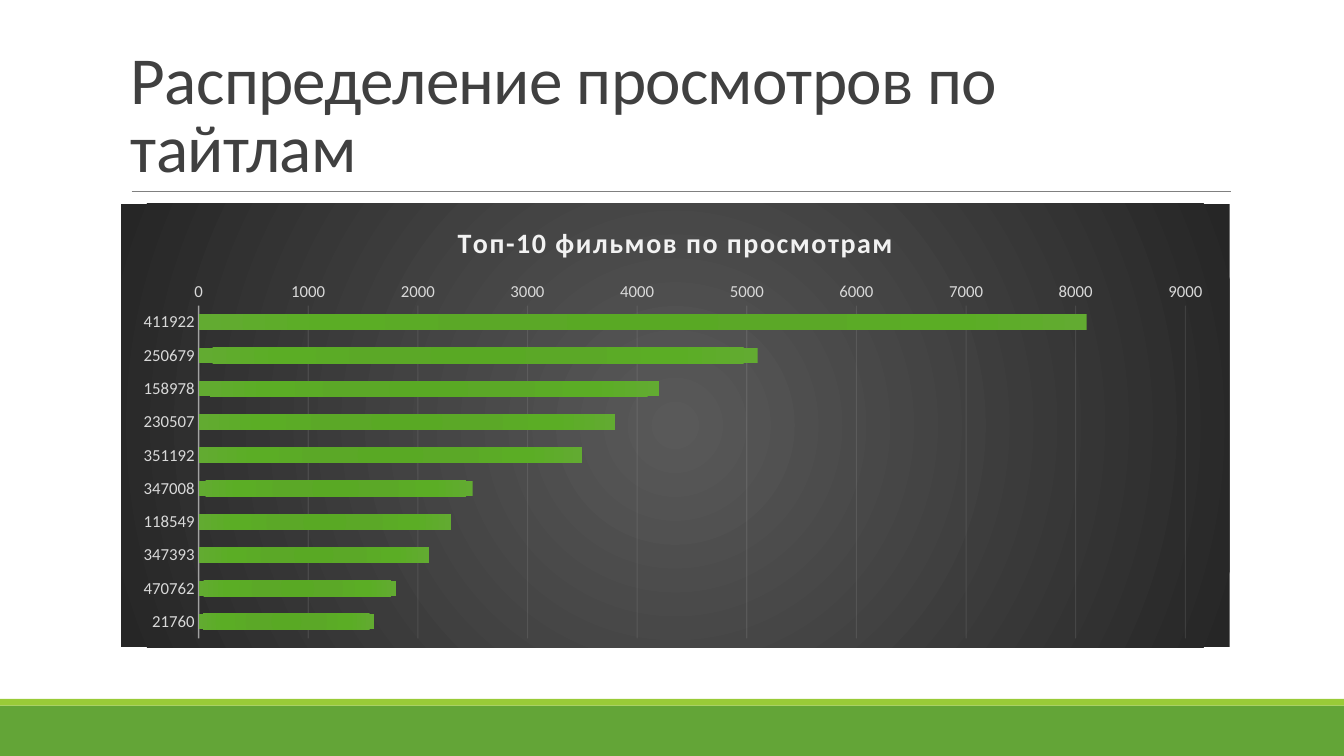
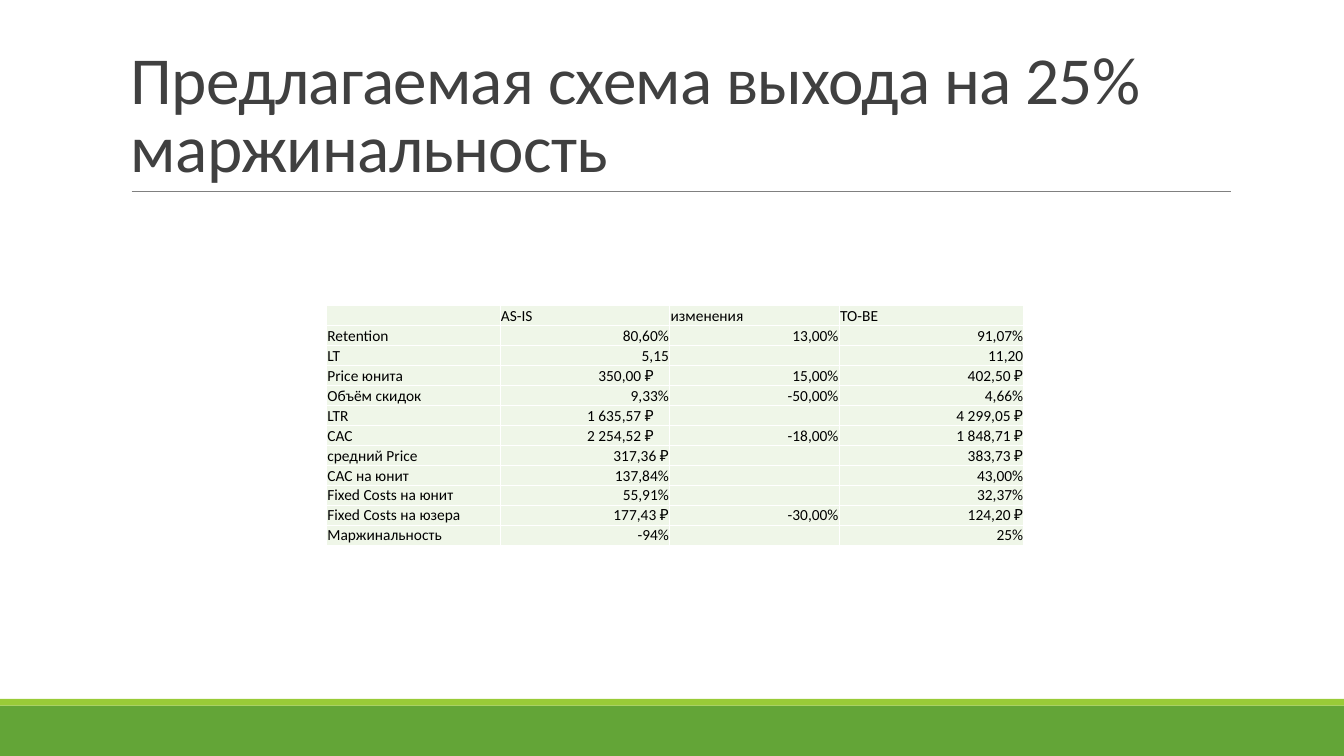
from collections import namedtuple

from lxml import etree
from pptx import Presentation
from pptx.chart.data import CategoryChartData
from pptx.dml.color import RGBColor
from pptx.enum.chart import XL_CHART_TYPE as ChartType, XL_TICK_MARK as Tick
from pptx.enum.shapes import MSO_CONNECTOR as Connector, MSO_SHAPE as Shape
from pptx.enum.text import MSO_ANCHOR as Anchor, PP_ALIGN as Align
from pptx.oxml import parse_xml
from pptx.oxml.ns import nsdecls, qn
from pptx.util import Cm, Pt

# Shared style
FONT = "Calibri"
WHITE = RGBColor(0xFF, 0xFF, 0xFF)
BLACK = RGBColor(0x00, 0x00, 0x00)
GREEN = RGBColor(0x63, 0xA5, 0x37)
LIME = RGBColor(0x99, 0xCB, 0x38)
GRAY = RGBColor(0x80, 0x80, 0x80)
TITLE_COLOR = RGBColor(0x40, 0x40, 0x40)
CELL_FILL = RGBColor(0xEF, 0xF6, 0xE8)
CHART_TITLE = RGBColor(0xF2, 0xF2, 0xF2)
AXIS_TEXT = RGBColor(0xD9, 0xD9, 0xD9)
CHART_STOPS = [(0, RGBColor(0x59, 0x59, 0x59)), (100, RGBColor(0x26, 0x26, 0x26))]
BAR_STOPS = [(0, RGBColor(0x59, 0xA9, 0x24)), (34, RGBColor(0x5B, 0xA8, 0x27)),
             (70, RGBColor(0x5B, 0xAD, 0x25)), (100, RGBColor(0x62, 0xAB, 0x31))]

# Boxes in centimetres
Box = namedtuple("Box", "x y w h")
PAGE = Box(0, 0, 33.87, 19.05)
TITLE = Box(3.05, 0.79, 27.94, 4.03)
CHART = Box(3.05, 5.13, 27.94, 11.18)
TABLE = Box(8.23, 7.7, 17.58, 6.04)

VIEWS = {"411922": 8100, "250679": 5100, "158978": 4200, "230507": 3800,
         "351192": 3500, "347008": 2500, "118549": 2300, "347393": 2100,
         "470762": 1800, "21760": 1600}

COLUMN_SHARES = [1.72, 1.68, 1.68, 1.83]
MARGIN_ROWS = [
    ("", "AS-IS", "изменения", "TO-BE"),
    ("Retention", "80,60%", "13,00%", "91,07%"),
    ("LT", "5,15", "", "11,20"),
    ("Price юнита", "350,00 ₽", "15,00%", "402,50 ₽"),
    ("Объём скидок", "9,33%", "-50,00%", "4,66%"),
    ("LTR", "1 635,57 ₽", "", "4 299,05 ₽"),
    ("CAC", "2 254,52 ₽", "-18,00%", "1 848,71 ₽"),
    ("средний Price", "317,36 ₽", "", "383,73 ₽"),
    ("CAC на юнит", "137,84%", "", "43,00%"),
    ("Fixed Costs на юнит", "55,91%", "", "32,37%"),
    ("Fixed Costs на юзера", "177,43 ₽", "-30,00%", "124,20 ₽"),
    ("Маржинальность", "-94%", "", "25%"),
]
INDENTED_ROWS = {"Price юнита", "LTR", "CAC"}


def cm(box):
    return [Cm(v) for v in box]


def set_font(font, size, color, bold=False):
    font.name, font.size, font.bold = FONT, Pt(size), bold
    font.color.rgb = color


def set_alpha(color_element, percent):
    etree.SubElement(color_element, qn("a:alpha")).set("val", str(percent * 1000))


def radial_fill(stops, focus):
    stop_xml = "".join(f'<a:gs pos="{pos * 1000}"><a:srgbClr val="{color}"/></a:gs>'
                       for pos, color in stops)
    sides = " ".join(f'{side}="{focus * 1000}"' for side in "ltrb")
    return (f'<a:gradFill rotWithShape="1"><a:gsLst>{stop_xml}</a:gsLst>'
            f'<a:path path="circle"><a:fillToRect {sides}/></a:path></a:gradFill>')


def chart_format(fill):
    return parse_xml(f'<c:spPr {nsdecls("c", "a")}>{fill}<a:ln><a:noFill/></a:ln></c:spPr>')


def add_band(s, box, color):
    sp = s.shapes.add_shape(Shape.RECTANGLE, *cm(box))
    sp.shadow.inherit = False
    sp.fill.solid()
    sp.fill.fore_color.rgb = color
    sp.line.fill.background()


def add_footer(s, box):
    """Green band with a lime stripe at the foot of the page."""
    band, stripe = 1.27, 0.17
    top = box.y + box.h - band
    add_band(s, Box(box.x, top, box.w, band), GREEN)
    add_band(s, Box(box.x, top - stripe, box.w, stripe), LIME)


def add_title(s, box, text):
    """Title sitting on a thin rule."""
    bottom = box.y + box.h
    rule = s.shapes.add_connector(Connector.STRAIGHT, Cm(box.x + 0.27), Cm(bottom),
                                  Cm(box.x + box.w + 0.02), Cm(bottom))
    rule.line.color.rgb, rule.line.width = GRAY, Pt(0.5)
    etree.SubElement(rule.element.spPr, qn("a:effectLst"))
    tf = s.shapes.add_textbox(*cm(box)).text_frame
    tf.word_wrap = True
    tf.vertical_anchor = Anchor.BOTTOM
    tf.text = text
    p = tf.paragraphs[0]
    p.line_spacing = 0.85
    r = p.runs[0]
    set_font(r.font, 48, TITLE_COLOR)
    r.font._element.set("spc", "-50")


def new_slide(prs, title):
    s = prs.slides.add_slide(prs.slide_layouts[6])
    add_footer(s, PAGE)
    add_title(s, TITLE, title)
    return s


def place_plot(plot_area, **fractions):
    modes = '<c:layoutTarget val="inner"/><c:xMode val="edge"/><c:yMode val="edge"/>'
    sizes = "".join(f'<c:{k} val="{v}"/>' for k, v in fractions.items())
    for old in plot_area.findall(qn("c:layout")):
        plot_area.remove(old)
    plot_area.insert(0, parse_xml(f'<c:layout {nsdecls("c")}><c:manualLayout>'
                                  f'{modes}{sizes}</c:manualLayout></c:layout>'))


def add_views_chart(s, box, title, views):
    data = CategoryChartData()
    data.categories = list(views)
    data.add_series("Series 1", list(views.values()))
    chart = s.shapes.add_chart(ChartType.BAR_CLUSTERED, *cm(box), data).chart
    set_font(chart.font, 10, BLACK)
    chart.has_legend = False

    # Title
    chart.has_title = True
    tf = chart.chart_title.text_frame
    tf.text = title
    r = tf.paragraphs[0].runs[0]
    set_font(r.font, 20, CHART_TITLE, bold=True)
    r.font._element.set("spc", "100")
    chart.chart_title.include_in_layout = False

    # Axes
    names, counts = chart.category_axis, chart.value_axis
    for axis in (names, counts):
        axis.major_tick_mark = axis.minor_tick_mark = Tick.NONE
        set_font(axis.tick_labels.font, 12, AXIS_TEXT)
    names.reverse_order = True
    counts.minimum_scale, counts.maximum_scale, counts.major_unit = 0, 9000, 1000
    counts.format.line.fill.background()
    grid = counts.major_gridlines
    for line, width in ((names.format.line, 1), (grid.format.line, 0.75)):
        line.color.rgb, line.width = CHART_TITLE, Pt(width)
    set_alpha(names.format.line.color._xFill.find(qn("a:srgbClr")), 54)
    set_alpha(grid.format.line.color._xFill.find(qn("a:srgbClr")), 10)

    # Bars and backgrounds
    plot = chart.plots[0]
    plot.vary_by_categories = False
    plot.gap_width, plot.overlap = 115, -20
    bars = plot.series[0]
    bars.invert_if_negative = False
    bars.format.fill.background()
    old = bars.format.fill._xPr
    old.getparent().replace(old, chart_format(radial_fill(BAR_STOPS, 100)))
    chart_root = chart.element.find(qn("c:chart"))
    chart_root.addnext(chart_format(radial_fill(CHART_STOPS, 50)))
    plot_area = chart_root.find(qn("c:plotArea"))
    plot_area.append(chart_format("<a:noFill/>"))
    place_plot(plot_area, x=0.07, y=0.23, w=0.89, h=0.75)


def add_borders(cell):
    tc_pr = cell._tc.get_or_add_tcPr()
    for i, side in enumerate(("lnL", "lnR", "lnT", "lnB")):
        tc_pr.insert(i, parse_xml(
            f'<a:{side} {nsdecls("a")} w="12700"><a:solidFill>'
            f'<a:srgbClr val="{WHITE}"/></a:solidFill></a:{side}>'))


def fill_cell(cell, text, align, right_margin):
    cell.fill.solid()
    cell.fill.fore_color.rgb = CELL_FILL
    cell.vertical_anchor = Anchor.BOTTOM
    cell.margin_left = cell.margin_top = Cm(0.02)
    cell.margin_right, cell.margin_bottom = Cm(right_margin), 0
    add_borders(cell)
    p = cell.text_frame.paragraphs[0]
    p.alignment = align
    if text:
        p.text = text
        set_font(p.runs[0].font, 11, BLACK)
    else:
        p._p.get_or_add_endParaRPr().set("sz", "1100")


def add_margin_table(s, box, rows, shares):
    table = s.shapes.add_table(len(rows), len(shares), *cm(box)).table
    table.first_row = table.horz_banding = False
    for column, share in zip(table.columns, shares):
        column.width = Cm(box.w * share / sum(shares))
    for i, values in enumerate(rows):
        table.rows[i].height = Cm(box.h / len(rows))
        for j, text in enumerate(values):
            align = Align.RIGHT if i and j else Align.LEFT
            indented = j == 1 and values[0] in INDENTED_ROWS
            fill_cell(table.cell(i, j), text, align, 0.4 if indented else 0.02)


prs = Presentation()
prs.slide_width, prs.slide_height = Cm(PAGE.w), Cm(PAGE.h)
add_views_chart(new_slide(prs, "Распределение просмотров по тайтлам"),
                CHART, "Топ-10 фильмов по просмотрам", VIEWS)
add_margin_table(new_slide(prs, "Предлагаемая схема выхода на 25% маржинальность"),
                 TABLE, MARGIN_ROWS, COLUMN_SHARES)
prs.save("out.pptx")
